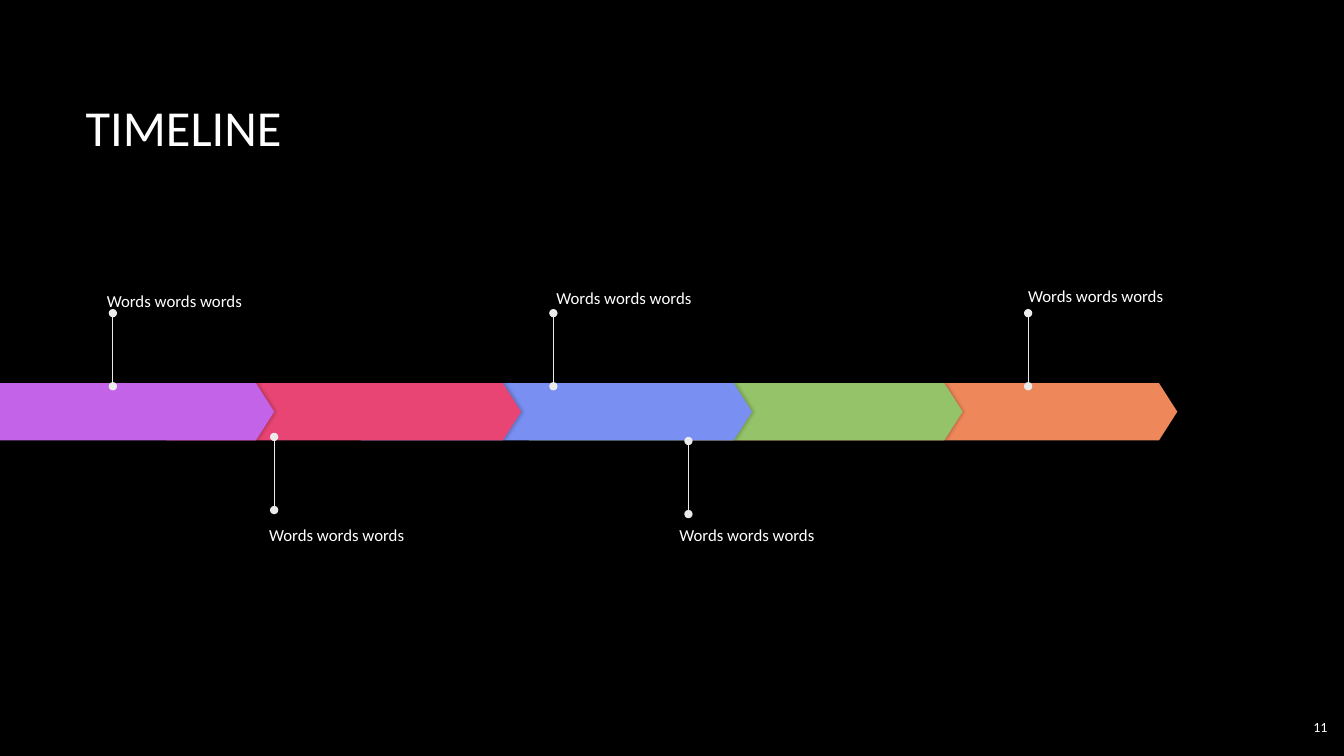
import dataclasses
import typing

import lxml.etree
import pptx
import pptx.dml.color
import pptx.enum.shapes
import pptx.enum.text
import pptx.oxml
import pptx.oxml.ns
import pptx.util

Pt = pptx.util.Pt
RGB = pptx.dml.color.RGBColor.from_string
Anchor = pptx.enum.text.MSO_ANCHOR
Align = pptx.enum.text.PP_ALIGN


@dataclasses.dataclass(frozen=True)
class Theme:
    font: str = "Calibri"
    background: str = "000000"
    text: str = "FFFFFF"
    marker: str = "EBEBEB"
    title_size: float = 36
    label_size: float = 12
    number_size: float = 10
    marker_width: float = 0.75


@dataclasses.dataclass(frozen=True)
class Segment:
    left: float
    width: float
    color: str


@dataclasses.dataclass(frozen=True)
class Milestone:
    text: str
    marker_x: float
    marker_bottom: float
    label_left: float
    label_top: float
    anchor: Anchor


THEME = Theme()
BAR_TOP, BAR_HEIGHT, BAR_POINT = 273.6, 41.04, 0.32
MARKER_LENGTH = 52.2
LABEL_WIDTH, LABEL_HEIGHT = 131.04, 56.16
LABEL = "Words words words"

SEGMENTS = [
    Segment(0, 195.84, "C363E8"),
    Segment(118.8, 253.44, "E84574"),
    Segment(257.76, 279.36, "798FF2"),
    Segment(378, 309.6, "95C369"),
    Segment(493.92, 347.04, "EE875A"),
]
MILESTONES = [
    Milestone(LABEL, 80.64, 275.9, 76.32, 165.6, Anchor.BOTTOM),
    Milestone(LABEL, 395.28, 275.9, 397.44, 163.44, Anchor.BOTTOM),
    Milestone(LABEL, 734.4, 275.9, 734.4, 162, Anchor.BOTTOM),
    Milestone(LABEL, 195.84, 364.32, 192.24, 375.12, Anchor.TOP),
    Milestone(LABEL, 491.76, 367.2, 485.28, 375.12, Anchor.TOP),
]


def apply_format(target: typing.Any, values: dict[str, typing.Any]) -> None:
    for name, value in values.items():
        setattr(target, name, value)


def write_text(shape: typing.Any, text: str, size: float, anchor: Anchor, alignment: Align = Align.LEFT) -> None:
    frame = shape.text_frame
    frame.text = text
    apply_format(frame, {
        "word_wrap": True,
        "auto_size": pptx.enum.text.MSO_AUTO_SIZE.NONE,
        "vertical_anchor": anchor,
        "margin_left": 0,
        "margin_top": 0,
        "margin_right": 0,
        "margin_bottom": 0,
    })
    paragraph = frame.paragraphs[0]
    paragraph.alignment = alignment
    font = paragraph.runs[0].font
    apply_format(font, {"name": THEME.font, "size": Pt(size)})
    font.color.rgb = RGB(THEME.text)


def add_title(slide: typing.Any, text: str) -> None:
    title = slide.shapes.title
    apply_format(title, {"left": Pt(61.2), "top": Pt(21.6), "width": Pt(631.44), "height": Pt(90)})
    write_text(title, text, THEME.title_size, Anchor.BOTTOM)


def add_segment(slide: typing.Any, segment: Segment) -> None:
    shape = slide.shapes.add_shape(
        pptx.enum.shapes.MSO_SHAPE.PENTAGON,
        Pt(segment.left), Pt(BAR_TOP), Pt(segment.width), Pt(BAR_HEIGHT),
    )
    shape.adjustments[0] = BAR_POINT
    shape.fill.solid()
    shape.fill.fore_color.rgb = RGB(segment.color)
    shape.line.fill.background()
    shape.shadow.inherit = False
    effects = shape.element.spPr.find(pptx.oxml.ns.qn("a:effectLst"))
    effects.append(pptx.oxml.parse_xml(
        f'<a:outerShdw {pptx.oxml.ns.nsdecls("a")} blurRad="{Pt(2.2)}" dist="{Pt(0.8)}" dir="0">'
        '<a:srgbClr val="000000"><a:alpha val="20000"/></a:srgbClr></a:outerShdw>'
    ))


def add_milestone(slide: typing.Any, milestone: Milestone) -> None:
    marker = slide.shapes.add_connector(
        pptx.enum.shapes.MSO_CONNECTOR.STRAIGHT,
        Pt(milestone.marker_x), Pt(milestone.marker_bottom),
        Pt(milestone.marker_x), Pt(milestone.marker_bottom - MARKER_LENGTH),
    )
    marker.line.color.rgb = RGB(THEME.marker)
    marker.line.width = Pt(THEME.marker_width)
    properties = marker.element.spPr
    outline = properties.find(pptx.oxml.ns.qn("a:ln"))
    for end in ("a:headEnd", "a:tailEnd"):
        lxml.etree.SubElement(outline, pptx.oxml.ns.qn(end), type="oval")
    lxml.etree.SubElement(properties, pptx.oxml.ns.qn("a:effectLst"))
    label = slide.shapes.add_textbox(
        Pt(milestone.label_left), Pt(milestone.label_top), Pt(LABEL_WIDTH), Pt(LABEL_HEIGHT)
    )
    write_text(label, milestone.text, THEME.label_size, milestone.anchor)


def main() -> None:
    presentation = pptx.Presentation()
    apply_format(presentation, {"slide_width": Pt(960), "slide_height": Pt(540)})
    slide = presentation.slides.add_slide(presentation.slide_layouts.get_by_name("Title Only"))
    slide.background.fill.solid()
    slide.background.fill.fore_color.rgb = RGB(THEME.background)

    add_title(slide, "TIMELINE")
    page_number = slide.shapes.add_textbox(Pt(890.64), Pt(498.96), Pt(57.6), Pt(41.04))
    write_text(page_number, "11", THEME.number_size, Anchor.MIDDLE, Align.RIGHT)
    for segment in reversed(SEGMENTS):
        add_segment(slide, segment)
    for milestone in MILESTONES:
        add_milestone(slide, milestone)

    presentation.save("out.pptx")


if __name__ == "__main__":
    main()
